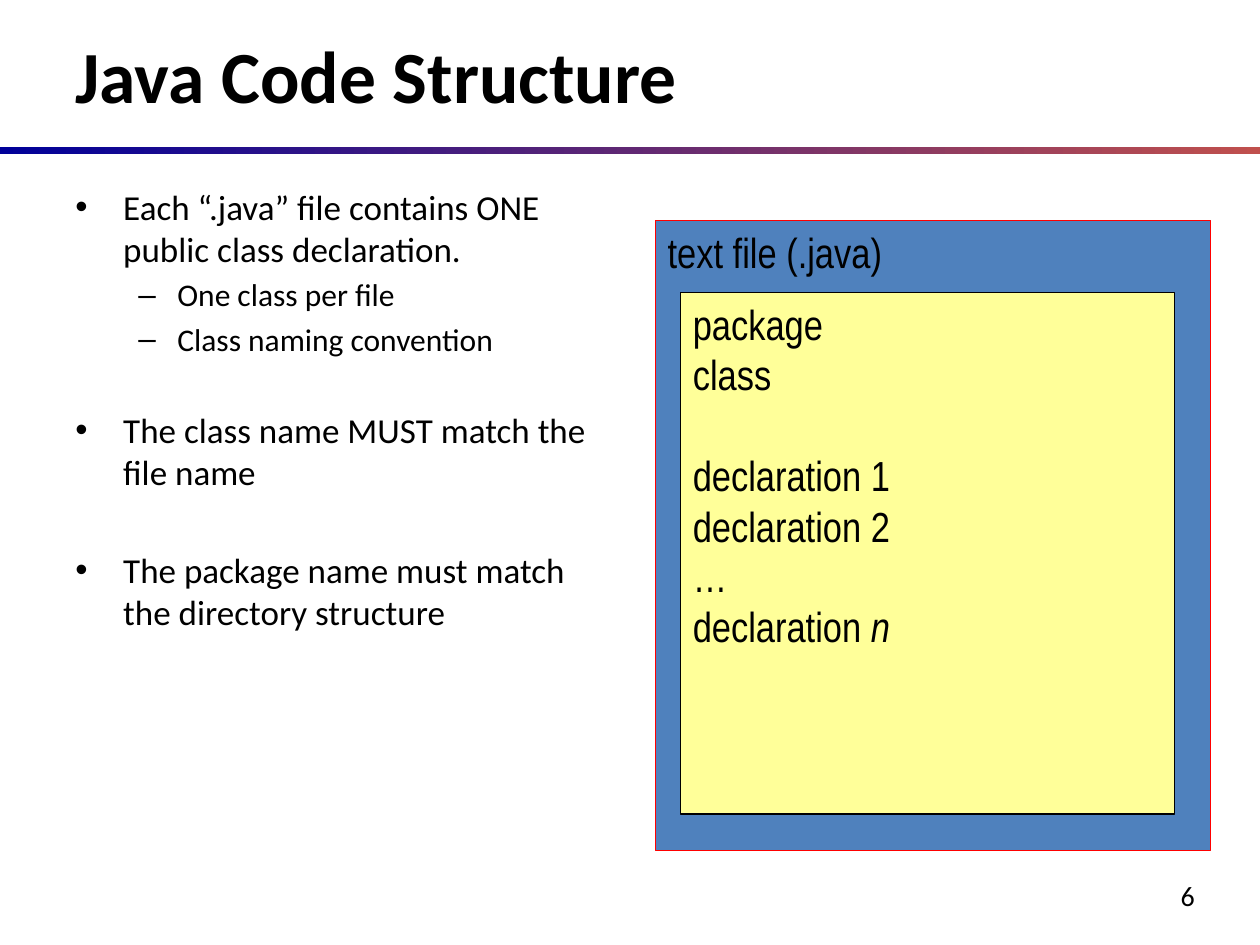
from dataclasses import dataclass

from lxml.etree import SubElement
from pptx import Presentation
from pptx.dml.color import RGBColor
from pptx.enum.shapes import MSO_SHAPE
from pptx.enum.text import MSO_ANCHOR, PP_ALIGN
from pptx.oxml.ns import qn
from pptx.util import Inches, Pt


@dataclass(frozen=True)
class Theme:
    text: RGBColor = RGBColor(0x00, 0x00, 0x00)
    rule_start: RGBColor = RGBColor(0x00, 0x00, 0x99)
    rule_end: RGBColor = RGBColor(0xC0, 0x50, 0x4D)
    file_fill: RGBColor = RGBColor(0x4F, 0x81, 0xBD)
    file_line: RGBColor = RGBColor(0xFF, 0x00, 0x00)
    class_fill: RGBColor = RGBColor(0xFF, 0xFF, 0x99)
    font: str = "Calibri"
    code_font: str = "Arial Narrow"
    title_size: float = 42
    point_size: float = 20
    subpoint_size: float = 18
    code_size: float = 24
    number_size: float = 16


THEME = Theme()
LINE_HEIGHT = 1.2
PARAGRAPH_GAP = 0.2

# Level: bullet character, left margin, hanging indent, text size
BULLETS = {
    0: ("•", 0.38, 0.38, THEME.point_size),
    1: ("–", 0.81, 0.31, THEME.subpoint_size),
}

# Level, text, size of the line left open above (0 for none)
POINTS = [
    (0, "Each “.java” file contains ONE public class declaration.", 0),
    (1, "One class per file", 0),
    (1, "Class naming convention", 0),
    (0, "The class name MUST match the file name", THEME.subpoint_size),
    (0, "The package name must match the directory structure", THEME.point_size),
]


def style(paragraph, size, font=THEME.font, bold=False):
    paragraph.font.name = font
    paragraph.font.size = Pt(size)
    paragraph.font.bold = bold
    paragraph.font.color.rgb = THEME.text


def next_paragraph(frame, index):
    return frame.add_paragraph() if index else frame.paragraphs[0]


def add_text_frame(slide, left, top, width, height):
    frame = slide.shapes.add_textbox(
        Inches(left), Inches(top), Inches(width), Inches(height)).text_frame
    frame.word_wrap = True
    return frame


def add_line_of_text(slide, box, text, size, bold=False, align=PP_ALIGN.LEFT):
    frame = add_text_frame(slide, *box)
    frame.vertical_anchor = MSO_ANCHOR.MIDDLE
    paragraph = frame.paragraphs[0]
    paragraph.text = text
    paragraph.alignment = align
    style(paragraph, size, bold=bold)


def add_rectangle(slide, left, top, width, height):
    rectangle = slide.shapes.add_shape(
        MSO_SHAPE.RECTANGLE,
        Inches(left), Inches(top), Inches(width), Inches(height))
    rectangle.shadow.inherit = False
    return rectangle


def add_header_rule(slide, box):
    rule = add_rectangle(slide, *box)
    rule.line.fill.background()
    rule.fill.gradient()
    rule.fill.gradient_angle = 0
    for stop, color in zip(rule.fill.gradient_stops,
                           (THEME.rule_start, THEME.rule_end)):
        stop.color.rgb = color


def set_bullet(paragraph, character, margin, hanging):
    properties = paragraph._p.get_or_add_pPr()
    properties.set("marL", str(Inches(margin)))
    properties.set("indent", str(-Inches(hanging)))
    SubElement(properties, qn("a:buFont")).set("typeface", "Arial")
    SubElement(properties, qn("a:buChar")).set("char", character)


def add_points(slide, box):
    frame = add_text_frame(slide, *box)
    for index, (level, text, open_line) in enumerate(POINTS):
        character, margin, hanging, size = BULLETS[level]
        paragraph = next_paragraph(frame, index)
        paragraph.text = text
        paragraph.level = level
        paragraph.space_before = Pt(
            PARAGRAPH_GAP * size + (LINE_HEIGHT + PARAGRAPH_GAP) * open_line)
        set_bullet(paragraph, character, margin, hanging)
        style(paragraph, size)


def add_code_box(slide, box, fill, line, lines):
    """Each line is a list of (text, italic) runs."""
    code_box = add_rectangle(slide, *box)
    code_box.fill.solid()
    code_box.fill.fore_color.rgb = fill
    code_box.line.color.rgb = line
    code_box.line.width = Pt(0.75)
    frame = code_box.text_frame
    frame.word_wrap = True
    frame.vertical_anchor = MSO_ANCHOR.TOP
    for index, runs in enumerate(lines):
        paragraph = next_paragraph(frame, index)
        paragraph.alignment = PP_ALIGN.LEFT
        style(paragraph, THEME.code_size, THEME.code_font)
        for text, italic in runs:
            run = paragraph.add_run()
            run.text = text
            if italic:
                run.font.italic = True
    return frame


def add_file_diagram(slide, left, top, width, height):
    # Source file
    add_code_box(slide, (left, top, width, height),
                 THEME.file_fill, THEME.file_line,
                 [[("text file (.java)", False)]])
    # Class inside the file
    declarations = [[(text, False)] for text in
                    ("package", "class", "declaration 1", "declaration 2", "…")]
    declarations.append([("declaration ", False), ("n", True)])
    frame = add_code_box(
        slide, (left + 0.2, top + 0.57, width - 0.49, height - 0.86),
        THEME.class_fill, THEME.text, declarations)
    frame.paragraphs[2].space_before = Pt(LINE_HEIGHT * THEME.code_size)


def main():
    deck = Presentation()
    deck.slide_width, deck.slide_height = Inches(10), Inches(7.5)
    slide = deck.slides.add_slide(deck.slide_layouts[6])

    add_header_rule(slide, (0, 1.17, 10, 0.05))
    add_line_of_text(slide, (8.58, 6.92, 1, 0.37), "6",
                     THEME.number_size, align=PP_ALIGN.RIGHT)
    add_line_of_text(slide, (0.5, 0.17, 9.08, 0.83), "Java Code Structure",
                     THEME.title_size, bold=True)
    add_points(slide, (0.5, 1.42, 4.5, 5.42))
    add_file_diagram(slide, 5.2, 1.75, 4.41, 5)

    deck.save("out.pptx")


if __name__ == "__main__":
    main()
